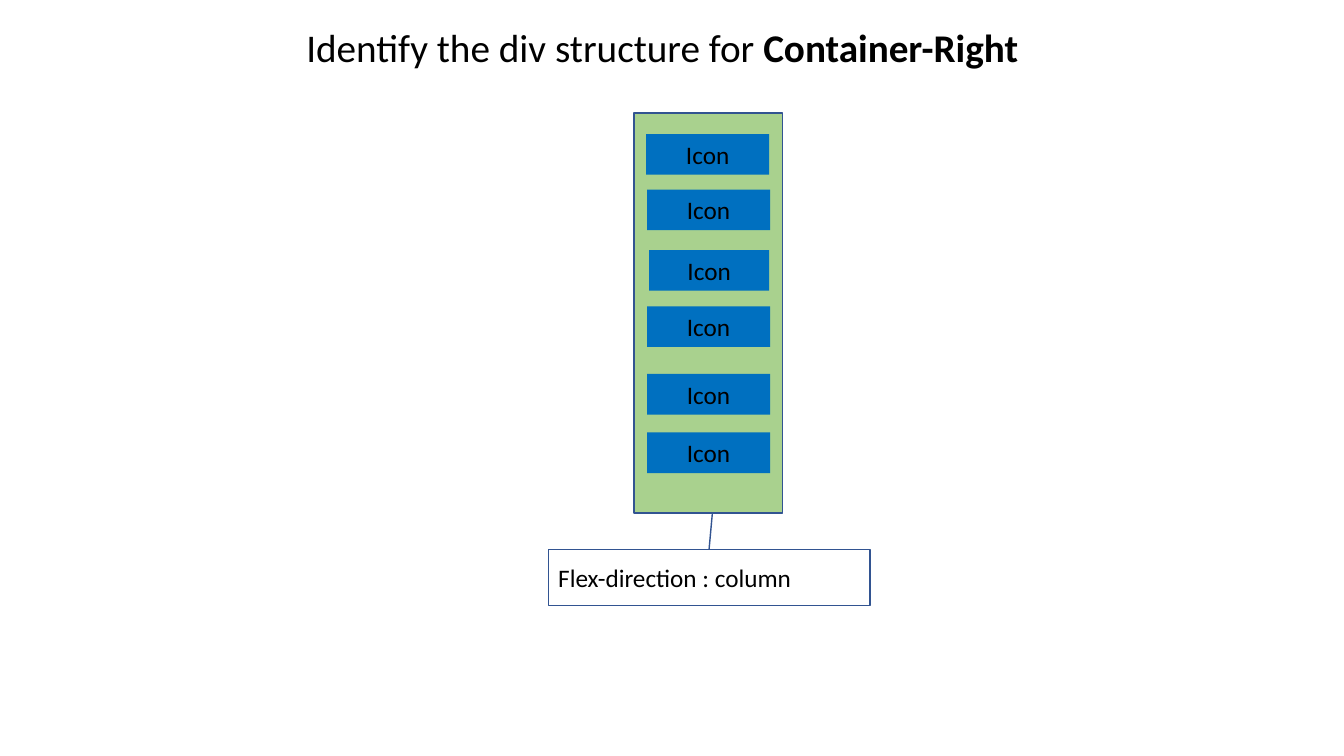
"""Build a slide showing the div structure of the right-hand container."""
import pptx
import pptx.util
import pptx.dml.color
import pptx.enum.shapes
import pptx.enum.text

prs = pptx.Presentation()
prs.slide_width = pptx.util.Inches(13.33)
prs.slide_height = pptx.util.Inches(7.5)
COL, ROW = prs.slide_width / 100, prs.slide_height / 100
SHAPE = pptx.enum.shapes.MSO_SHAPE
ALIGN = pptx.enum.text.PP_ALIGN
s = prs.slides.add_slide(prs.slide_layouts[6])


def rgb(value):
    return pptx.dml.color.RGBColor.from_string(value)


def add_box(kind, cell, fill, line, runs, size, align):
    left, top, width, height = cell
    sp = s.shapes.add_shape(kind, int(left * COL), int(top * ROW),
                            int(width * COL), int(height * ROW))
    sp.shadow.inherit = False
    for part, color in ((sp.fill, fill), (sp.line.fill, line)):
        if color:
            part.solid()
            part.fore_color.rgb = rgb(color)
        else:
            part.background()
    if line:
        sp.line.width = pptx.util.Pt(1)
    tf = sp.text_frame
    tf.word_wrap = True
    tf.vertical_anchor = pptx.enum.text.MSO_ANCHOR.MIDDLE
    p = tf.paragraphs[0]
    p.alignment = align
    for text, bold in runs:
        r = p.add_run()
        r.text = text
        for name, value in {"name": "Calibri", "size": pptx.util.Pt(size), "bold": bold}.items():
            setattr(r.font, name, value)
        r.font.color.rgb = rgb("000000")
    return sp


tf = s.shapes.add_textbox(int(22.05 * COL), int(2.4 * ROW),
                          int(59.93 * COL), int(7.6 * ROW)).text_frame
tf.word_wrap = True
for text, bold in (("Identify the div structure for ", False), ("Container-Right", True)):
    r = tf.paragraphs[0].add_run()
    r.text = text
    for name, value in {"name": "Calibri", "size": pptx.util.Pt(28), "bold": bold}.items():
        setattr(r.font, name, value)
    r.font.color.rgb = rgb("000000")

add_box(SHAPE.RECTANGLE, (47.18, 14.93, 11.03, 52.93), "A9D18E", "325491", [], 18, ALIGN.CENTER)

icons = [(48.08, 17.73, 9.15), (48.15, 25.07, 9.15), (48.3, 33.07, 8.93),
         (48.15, 40.53, 9.15), (48.15, 49.47, 9.15), (48.15, 57.2, 9.15)]
for left, top, width in icons:
    add_box(SHAPE.RECTANGLE, (left, top, width, 5.37), "0070C0", None,
            [("Icon", False)], 18, ALIGN.CENTER)

sp = add_box(SHAPE.LINE_CALLOUT_1, (40.8, 72.67, 23.93, 7.4), None, "325491",
             [("Flex-direction : column", False)], 18, ALIGN.LEFT)
for i, share in enumerate((-0.01, 0.5, -0.64, 0.51)):
    sp.adjustments[i] = share

prs.save("out.pptx")
